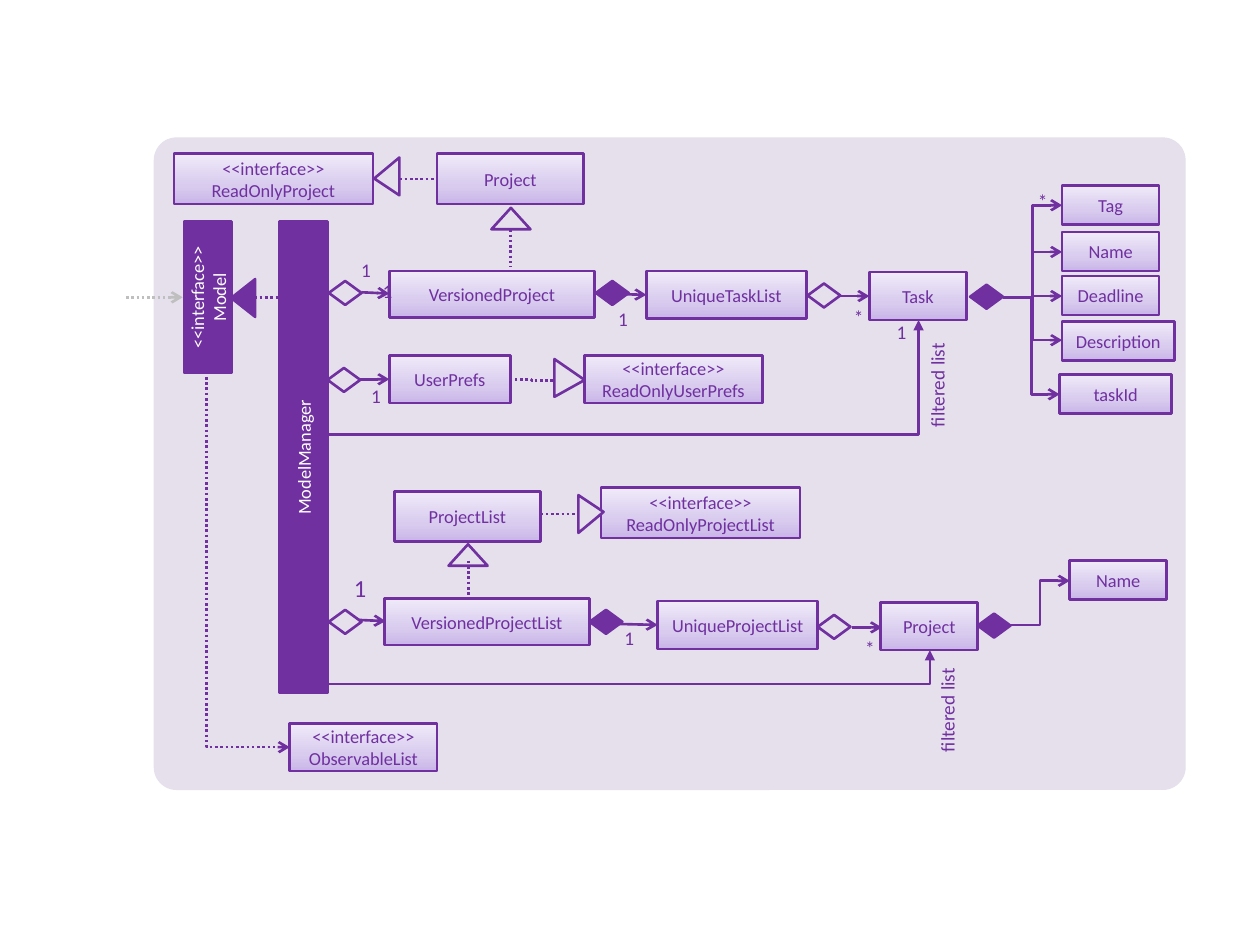
from copy import deepcopy
from pptx import Presentation, util as u
from pptx.dml.color import RGBColor
from pptx.enum import dml, shapes as s, text as t
from pptx.oxml.ns import qn
from pptx.oxml.xmlchemy import OxmlElement

PURPLE = RGBColor(0x70, 0x30, 0xA0)
PANEL = RGBColor(0xE6, 0xE0, 0xEC)
GREY = RGBColor(0xBF, 0xBF, 0xBF)
WHITE = RGBColor(0xFF, 0xFF, 0xFF)
SHADES = [(0, RGBColor(0xC9, 0xB5, 0xE8)), (0.35, RGBColor(0xD8, 0xCB, 0xEE)),
          (1, RGBColor(0xF0, 0xEA, 0xF9))]
INCH = 2.54
KIND = s.MSO_SHAPE
BENT = s.MSO_CONNECTOR.ELBOW
PLAIN = s.MSO_CONNECTOR.STRAIGHT

deck = Presentation()
deck.slide_width, deck.slide_height = u.Cm(25.4), u.Cm(19.05)
slide = deck.slides.add_slide(deck.slide_layouts[6])


def draw(kind, at, fill=None, words="", ink=PURPLE, turn=0):
    item = slide.shapes.add_shape(kind, *[u.Cm(v * INCH) for v in at])
    item.shadow.inherit = False
    item.rotation = turn
    item.line.color.rgb = PURPLE
    item.line.width = u.Pt(1.5)
    if fill == SHADES:
        item.fill.gradient()
        item.fill.gradient_angle = 90
        stops = item.element.spPr.find(".//" + qn("a:gsLst"))
        stops.append(deepcopy(stops[-1]))
        for stop, (place, shade) in zip(item.fill.gradient_stops, SHADES):
            stop.position = place
            stop.color.rgb = shade
    elif fill is None:
        item.fill.background()
    else:
        item.fill.solid()
        item.fill.fore_color.rgb = fill
    if words:
        item.text_frame.text = words
        for par in item.text_frame.paragraphs:
            par.alignment = t.PP_ALIGN.CENTER
            par.font.size = u.Pt(10.5)
            par.font.name = "Calibri"
            par.font.color.rgb = ink
    return item


def link(kind, ends, head="arrow", dots=False, ink=PURPLE):
    line = slide.shapes.add_connector(kind, *[u.Cm(v * INCH) for v in ends])
    line.line.color.rgb = ink
    line.line.width = u.Pt(1.5)
    if dots:
        line.line.dash_style = dml.MSO_LINE.ROUND_DOT
    if head:
        tip = OxmlElement("a:tailEnd")
        tip.set("type", head)
        line.element.spPr.find(qn("a:ln")).append(tip)
    line.element.spPr.append(OxmlElement("a:effectLst"))
    return line


panel = draw(KIND.ROUNDED_RECTANGLE, (1.22, 1.09, 8.19, 5.18), PANEL)
panel.adjustments[0] = 0.035
panel.line.fill.background()

draw(KIND.RECTANGLE, (0.54, 3.44, 3.74, 0.38), PURPLE, "ModelManager", WHITE, 270)
draw(KIND.RECTANGLE, (1.05, 2.17, 1.2, 0.38), PURPLE, "<<interface>>\nModel", WHITE, 270)

for words, *at in [
    ("<<interface>>\vReadOnlyProject", 1.38, 1.22, 1.58, 0.4),
    ("Project", 3.47, 1.22, 1.16, 0.4),
    ("VersionedProject", 3.09, 2.15, 1.63, 0.37),
    ("UniqueTaskList", 5.13, 2.15, 1.27, 0.38),
    ("Task", 6.9, 2.16, 0.77, 0.38),
    ("UserPrefs", 3.09, 2.82, 0.96, 0.38),
    ("<<interface>>\nReadOnlyUserPrefs", 4.64, 2.82, 1.41, 0.38),
    ("ProjectList", 3.13, 3.9, 1.16, 0.4),
    ("<<interface>>\vReadOnlyProjectList", 4.77, 3.87, 1.58, 0.4),
    ("VersionedProjectList", 3.05, 4.75, 1.63, 0.37),
    ("UniqueProjectList", 5.22, 4.77, 1.27, 0.38),
    ("Project", 6.99, 4.78, 0.77, 0.38),
    ("<<interface>>\vObservableList", 2.3, 5.74, 1.17, 0.38),
    ("Tag", 8.43, 1.47, 0.77, 0.31),
    ("Name", 8.43, 1.84, 0.77, 0.31),
    ("Deadline", 8.43, 2.19, 0.77, 0.31),
    ("Description", 8.43, 2.55, 0.89, 0.31),
    ("taskId", 8.41, 2.97, 0.89, 0.31),
    ("Name", 8.49, 4.45, 0.77, 0.31),
]:
    draw(KIND.RECTANGLE, at, SHADES, words)

for fill, spots in [
    (None, [(2.61, 2.23), (2.6, 2.92), (6.41, 2.25), (2.61, 4.84), (6.49, 4.88)]),
    (PURPLE, [(4.73, 2.23), (7.7, 2.26), (4.68, 4.84), (7.76, 4.87)]),
]:
    for x, y in spots:
        draw(KIND.FLOWCHART_DECISION, (x, y, 0.26, 0.19), fill)

for at, turn, peak, fill in [
    ((1.78, 2.27, 0.3, 0.19), 270, 0.5, PURPLE),
    ((2.92, 1.3, 0.3, 0.2), 270, 0.445, PANEL),
    ((3.9, 1.65, 0.31, 0.17), 0, 0.5, PANEL),
    ((4.37, 2.88, 0.3, 0.24), 90, 0.555, PANEL),
    ((3.56, 4.32, 0.31, 0.17), 0, 0.5, PANEL),
    ((4.54, 3.98, 0.3, 0.2), 90, 0.445, PANEL),
]:
    draw(KIND.ISOSCELES_TRIANGLE, at, fill, turn=turn).adjustments[0] = peak

for ends in [(2.87, 2.32, 3.09, 2.33), (2.85, 3.01, 3.09, 3.01), (2.84, 4.92, 3.06, 4.93),
             (4.73, 2.33, 5.13, 2.34), (4.82, 4.95, 5.22, 4.96)]:
    link(PLAIN, ends)

for ends in [(2.02, 2.36, 2.26, 2.36), (4.05, 1.82, 4.05, 2.12), (3.72, 4.45, 3.72, 4.75)]:
    link(PLAIN, ends, None, True)

for ends in [(3.17, 1.42, 3.47, 1.42), (4.39, 3.02, 4.05, 3.01), (4.29, 4.08, 4.59, 4.08)]:
    link(BENT, ends, None, True)

for ends in [(6.67, 2.35, 6.9, 2.35), (6.76, 4.98, 7, 4.98), (8.02, 4.96, 8.49, 4.61)]:
    link(BENT, ends)
for x, y in [(8.43, 1.63), (8.43, 2), (8.43, 2.35), (8.43, 2.7), (8.41, 3.13)]:
    link(BENT, (7.96, 2.36, x, y))
link(BENT, (1, 2.36, 1.45, 2.36), dots=True, ink=GREY)

list1 = link(BENT, (2.6, 3.45, 7.29, 2.54), "triangle")
list2 = link(BENT, (2.54, 5.43, 7.38, 5.16), "triangle")
watch = link(BENT, (3.46, 4.11, 0.48, 4.77), dots=True)
watch.element.spPr.find(qn("a:xfrm")).set("rot", "16200000")
for line in (list1, list2, watch):
    line.element.spPr.find(qn("a:prstGeom")).set("prst", "bentConnector2")

MID, LEFT, RIGHT = t.PP_ALIGN.CENTER, t.PP_ALIGN.LEFT, t.PP_ALIGN.RIGHT
for words, at, side, size, turn in [
    ("1", (2.81, 2.05, 0.19, 0.15), MID, 11, 0),
    ("1", (2.98, 2.22, 0.19, 0.15), MID, 11, 0),
    ("1", (4.84, 2.44, 0.21, 0.2), MID, 11, 0),
    ("*", (6.71, 2.42, 0.21, 0.2), MID, 11, 0),
    ("1", (7.05, 2.54, 0.21, 0.2), MID, 11, 0),
    ("1", (2.88, 3.05, 0.21, 0.2), MID, 11, 0),
    ("*", (8.17, 1.5, 0.21, 0.2), MID, 11, 0),
    ("1", (4.89, 4.97, 0.21, 0.2), MID, 11, 0),
    ("*", (6.8, 5.05, 0.21, 0.2), MID, 11, 0),
    ("1", (2.71, 4.5, 0.48, 0.34), LEFT, 14, 0),
    ("filtered list", (6.96, 2.96, 0.96, 0.29), RIGHT, 11, 270),
    ("filtered list", (7.04, 5.54, 0.96, 0.29), RIGHT, 11, 270),
]:
    note = slide.shapes.add_textbox(*[u.Cm(v * INCH) for v in at])
    note.rotation = turn
    frame = note.text_frame
    frame.word_wrap = True
    if side == MID:
        frame.margin_left = frame.margin_right = frame.margin_top = frame.margin_bottom = 0
    par = frame.paragraphs[0]
    par.text = words
    par.alignment = side
    par.font.size = u.Pt(size)
    par.font.name = "Calibri"
    par.font.color.rgb = PURPLE

deck.save("out.pptx")
